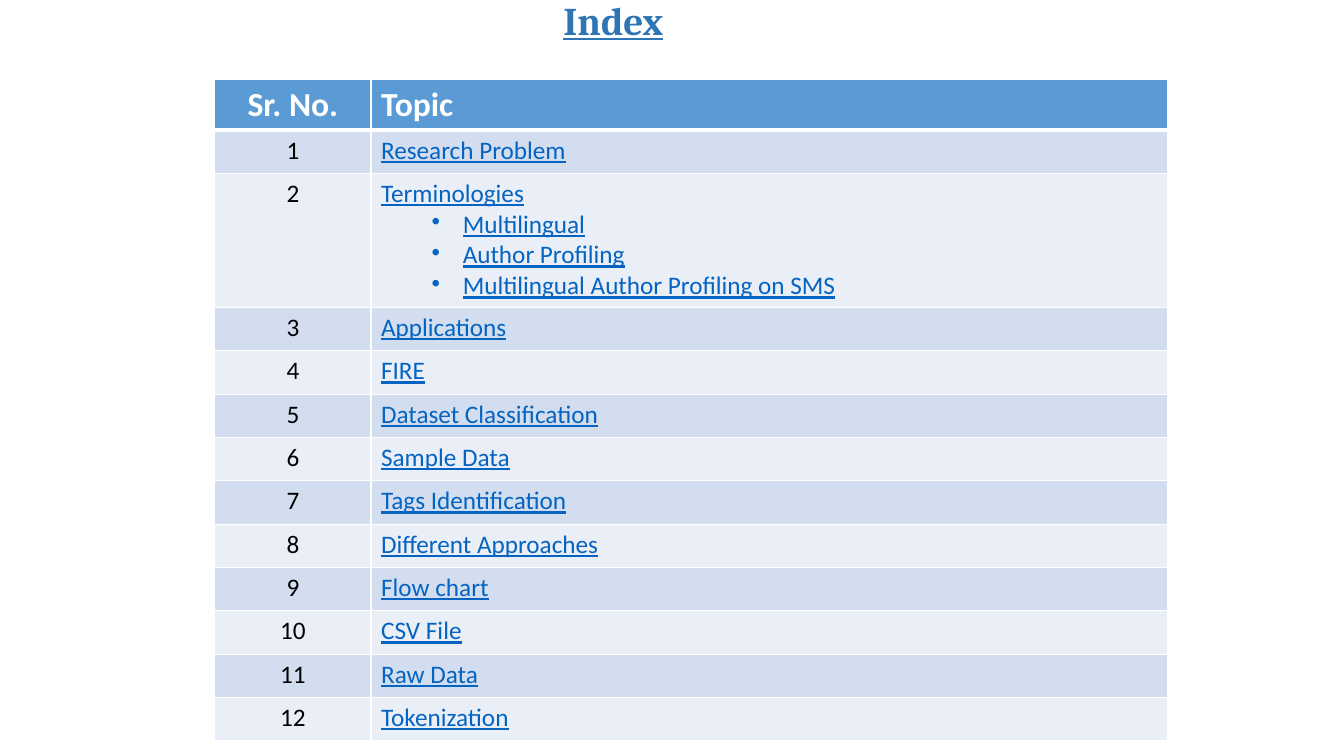
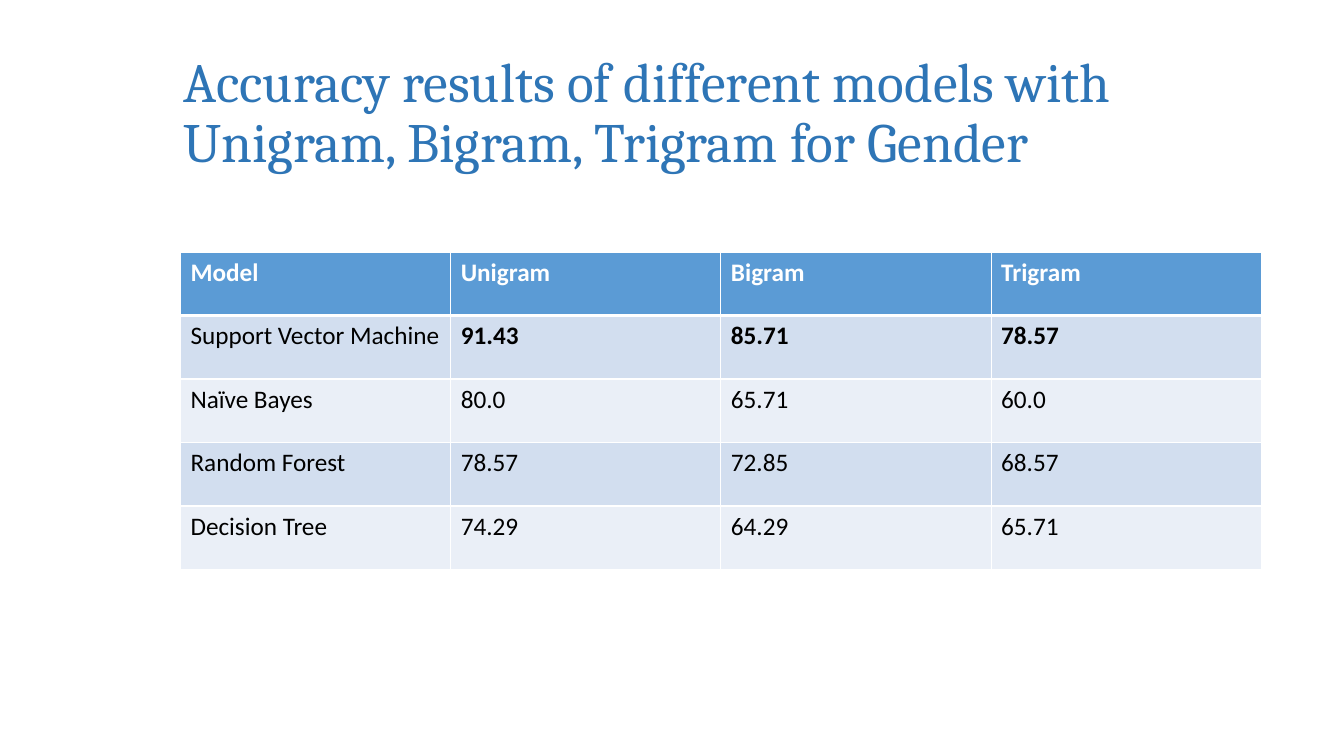
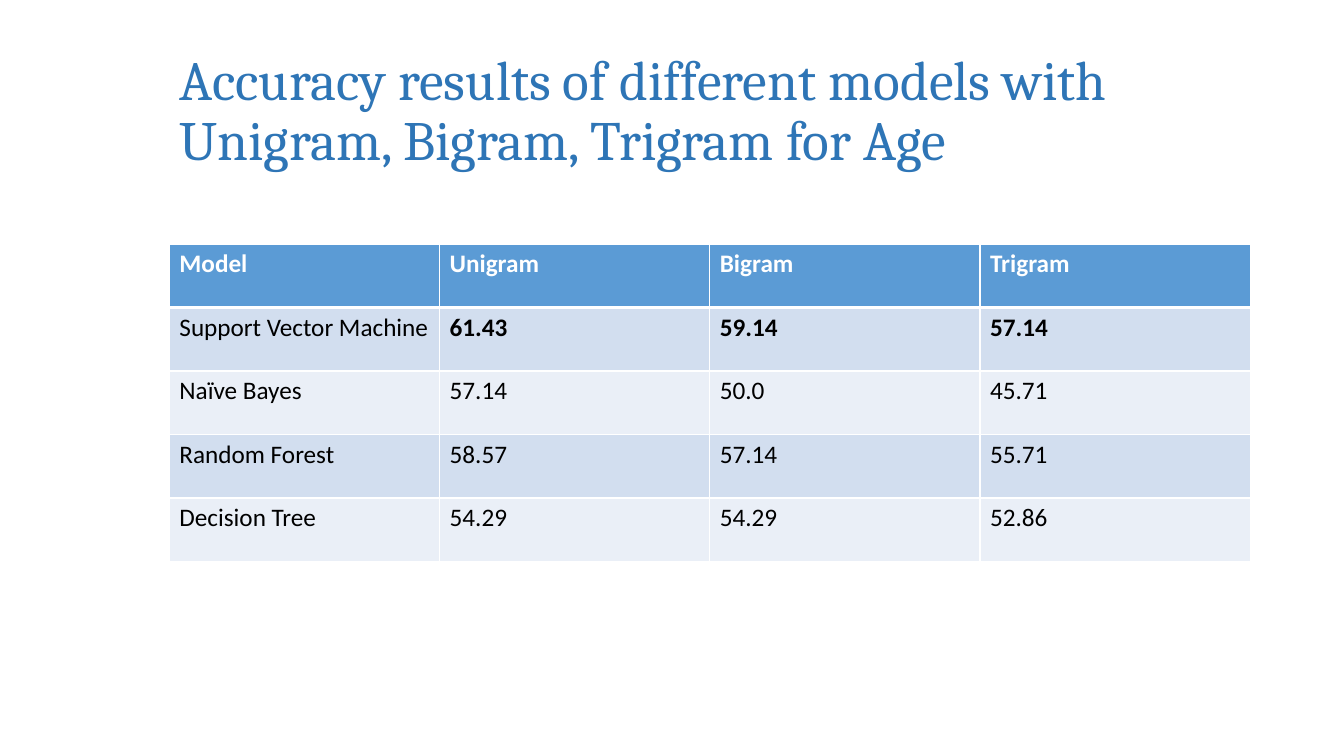
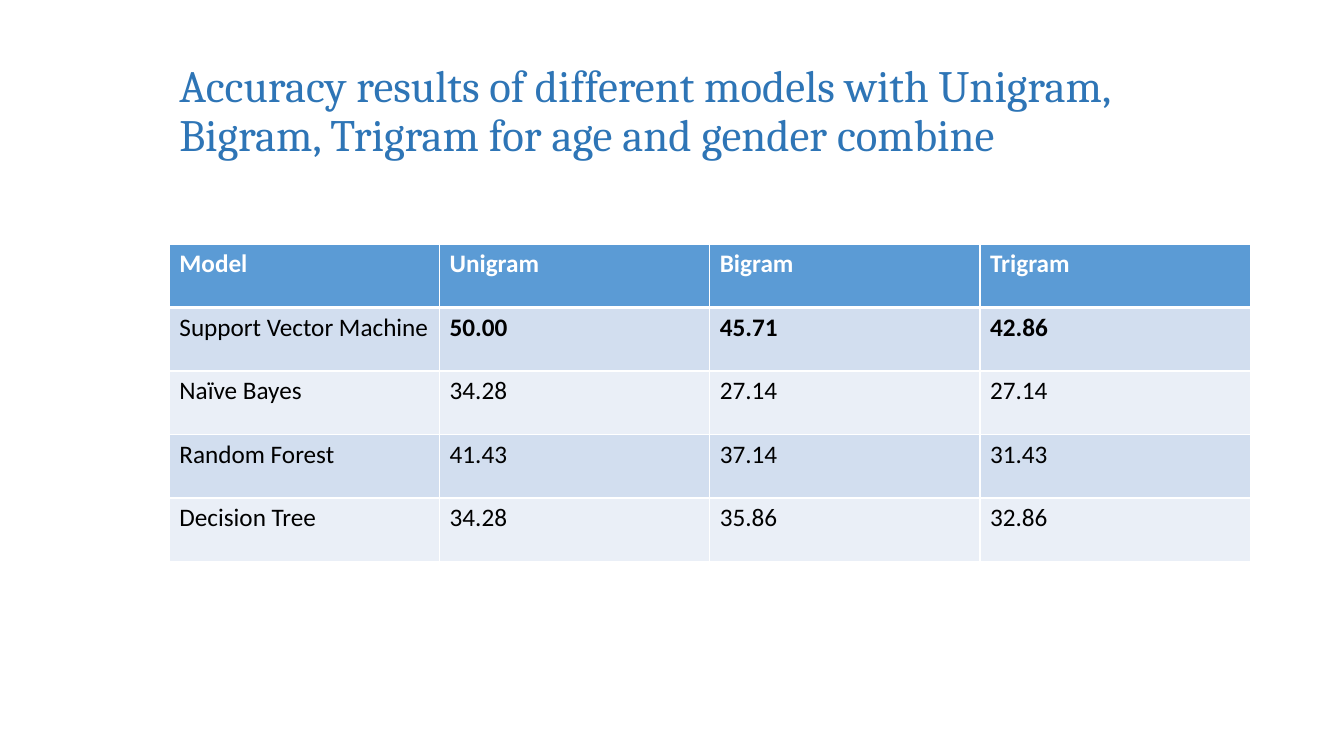
import dataclasses

import lxml.etree
import pptx
import pptx.dml.color
import pptx.enum.text
import pptx.oxml.ns
import pptx.util

Inches, Pt = pptx.util.Inches, pptx.util.Pt
ALIGN = pptx.enum.text.PP_ALIGN


@dataclasses.dataclass(frozen=True)
class Theme:
    title_font: str = "Cambria"
    body_font: str = "Calibri"
    title: str = "2E75B6"
    header: str = "5B9BD5"
    bands: tuple = ("D2DEEF", "EAEFF7")
    white: str = "FFFFFF"
    text: str = "000000"
    link: str = "0563C1"
    body_size: float = 18
    index_header_size: float = 24
    border: float = 1
    header_border: float = 3


THEME = Theme()

# Content: index topics, each with its subtopics
INDEX_HEADER = ("Sr. No.", "Topic")
TOPICS = [
    ("Research Problem", []),
    ("Terminologies", ["Multilingual", "Author Profiling",
                       "Multilingual Author Profiling on SMS"]),
    ("Applications", []),
    ("FIRE", []),
    ("Dataset Classification", []),
    ("Sample Data", []),
    ("Tags Identification", []),
    ("Different Approaches", []),
    ("Flow chart", []),
    ("CSV File", []),
    ("Raw Data", []),
    ("Tokenization", []),
]

# Content: accuracy of each model, one slide per target
RESULT_HEADER = ("Model", "Unigram", "Bigram", "Trigram")
MODELS = ("Support Vector Machine", "Naïve Bayes", "Random Forest", "Decision Tree")
RESULT_TITLE = "Accuracy results of different models with Unigram, Bigram, Trigram for "
RESULTS = [
    dict(target="Gender", title_at=(1.72, 0.22, 10.11, 1.84), title_size=39.6,
         table_at=(1.79, 2.5),
         scores=[("91.43", "85.71", "78.57"), ("80.0", "65.71", "60.0"),
                 ("78.57", "72.85", "68.57"), ("74.29", "64.29", "65.71")]),
    dict(target="Age", title_at=(1.68, 0.39, 9.88, 1.45), title_size=39.6,
         table_at=(1.68, 2.42),
         scores=[("61.43", "59.14", "57.14"), ("57.14", "50.0", "45.71"),
                 ("58.57", "57.14", "55.71"), ("54.29", "54.29", "52.86")]),
    dict(target="age and gender combine", title_at=(1.68, 0.39, 10.44, 1.45),
         title_size=32, table_at=(1.68, 2.42),
         scores=[("50.00", "45.71", "42.86"), ("34.28", "27.14", "27.14"),
                 ("41.43", "37.14", "31.43"), ("34.28", "35.86", "32.86")]),
]


# Shared parts
def set_font(para, name, size, color, bold=False, underline=False):
    font = para.font
    font.name, font.size = name, Pt(size)
    font.bold, font.underline = bold, underline
    font.color.rgb = pptx.dml.color.RGBColor.from_string(color)


def add_title(page, text, at, size, **style):
    box = page.shapes.add_textbox(*map(Inches, at))
    frame = box.text_frame
    frame.word_wrap = True
    frame.vertical_anchor = pptx.enum.text.MSO_ANCHOR.MIDDLE
    para = frame.paragraphs[0]
    para.text = text
    para.line_spacing = 0.9
    set_font(para, THEME.title_font, size, THEME.title, **style)


def set_borders(cell, top, bottom):
    properties = cell._tc.get_or_add_tcPr()
    widths = {"L": THEME.border, "R": THEME.border, "T": top, "B": bottom}
    for side, width in widths.items():
        line = lxml.etree.SubElement(properties, pptx.oxml.ns.qn("a:ln" + side),
                                     w=str(Pt(width)))
        fill = lxml.etree.SubElement(line, pptx.oxml.ns.qn("a:solidFill"))
        lxml.etree.SubElement(fill, pptx.oxml.ns.qn("a:srgbClr"), val=THEME.white)


def add_table(page, at, widths, heights, rows, header_size=THEME.body_size):
    """Build a banded table; a cell's lines are parted by newlines."""
    left, top = at
    frame = page.shapes.add_table(len(rows), len(widths), Inches(left), Inches(top),
                                  Inches(sum(widths)), Inches(sum(heights)))
    table = frame.table
    for column, width in zip(table.columns, widths):
        column.width = Inches(width)
    for r, (row, height) in enumerate(zip(rows, heights)):
        table.rows[r].height = Inches(height)
        color = THEME.bands[(r - 1) % 2] if r else THEME.header
        for c, text in enumerate(row):
            cell = table.cell(r, c)
            set_borders(cell, THEME.header_border if r == 1 else THEME.border,
                        THEME.header_border if r == 0 else THEME.border)
            cell.fill.solid()
            cell.fill.fore_color.rgb = pptx.dml.color.RGBColor.from_string(color)
            cell.text = text
            for para in cell.text_frame.paragraphs:
                set_font(para, THEME.body_font, THEME.body_size if r else header_size,
                         THEME.text if r else THEME.white, bold=r == 0)
    return table


def add_bullet(para):
    para.level = 1
    properties = para._p.get_or_add_pPr()
    properties.set("marL", str(Inches(0.81)))
    properties.set("indent", str(Inches(-0.31)))
    bullet = lxml.etree.Element(pptx.oxml.ns.qn("a:buChar"), char="•")
    properties.insert(0, bullet)


# Slides
def build_index(page):
    add_title(page, "Index", (5.49, -0.1, 1.32, 0.65), 28, bold=True, underline=True)
    rows = [INDEX_HEADER]
    heights = [0.5]
    for number, (topic, subtopics) in enumerate(TOPICS, 1):
        rows.append((str(number), "\n".join([topic, *subtopics])))
        heights.append(0.43 + 0.3 * len(subtopics))
    table = add_table(page, (2.13, 0.79), (1.55, 7.9), heights, rows,
                      THEME.index_header_size)
    for r in range(len(rows)):
        table.cell(r, 0).text_frame.paragraphs[0].alignment = ALIGN.CENTER
        if r == 0:
            continue
        for line, para in enumerate(table.cell(r, 1).text_frame.paragraphs):
            set_font(para, THEME.body_font, THEME.body_size, THEME.link, underline=True)
            if line:
                add_bullet(para)


def build_result(page, result):
    add_title(page, RESULT_TITLE + result["target"], result["title_at"],
              result["title_size"])
    rows = [RESULT_HEADER]
    rows += [(model, *scores) for model, scores in zip(MODELS, result["scores"])]
    table = add_table(page, result["table_at"], [2.68] * len(RESULT_HEADER),
                      [0.63] * len(rows), rows)
    # The best model's scores stand out
    for c in range(1, len(RESULT_HEADER)):
        table.cell(1, c).text_frame.paragraphs[0].font.bold = True


def main():
    deck = pptx.Presentation()
    deck.slide_width, deck.slide_height = Inches(13.33), Inches(7.5)
    blank = deck.slide_layouts[6]
    build_index(deck.slides.add_slide(blank))
    for result in RESULTS:
        build_result(deck.slides.add_slide(blank), result)
    deck.save("out.pptx")


if __name__ == "__main__":
    main()
